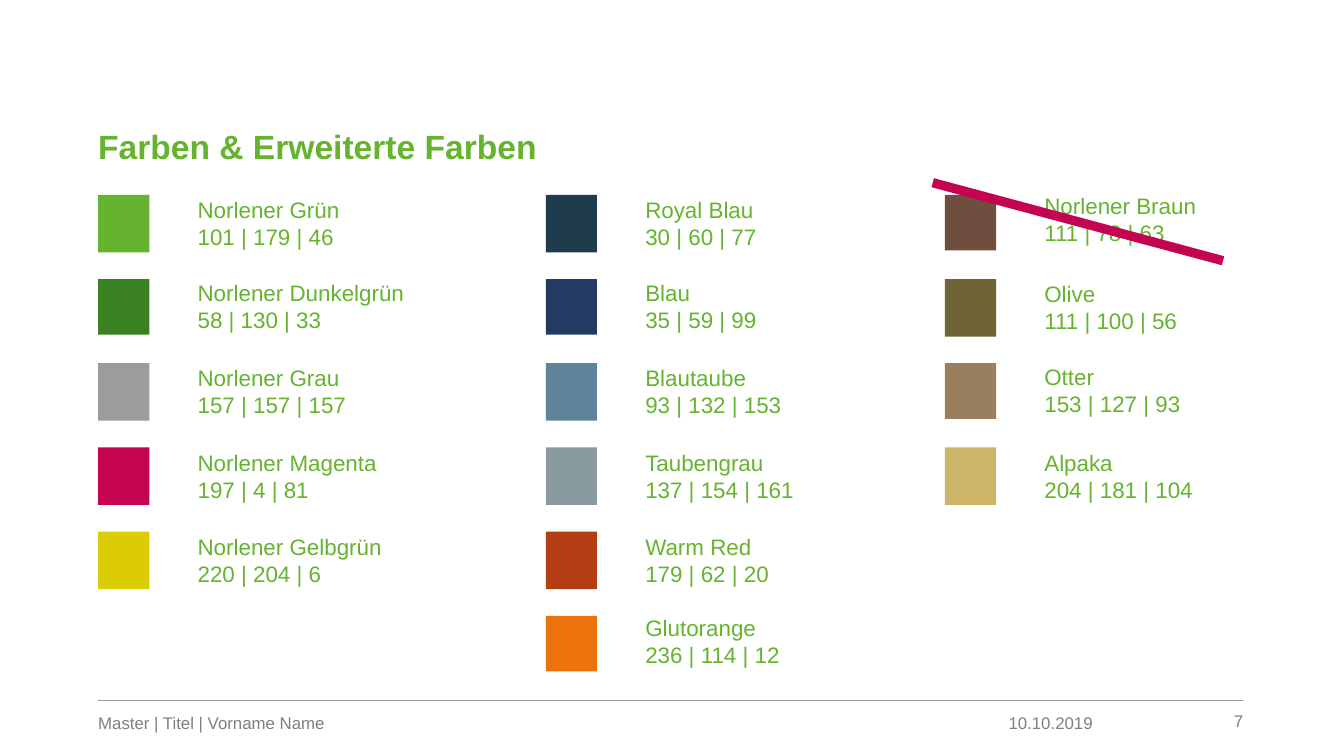
import pptx
import pptx.dml.color
import pptx.enum.shapes
import pptx.enum.text
import pptx.oxml
import pptx.util

Pt = pptx.util.Pt
RGBColor = pptx.dml.color.RGBColor
Align = pptx.enum.text.PP_ALIGN
Anchor = pptx.enum.text.MSO_ANCHOR

GREEN = RGBColor(0x65, 0xB3, 0x2E)
DARK_GREEN = RGBColor(0x3A, 0x82, 0x21)
GREY = RGBColor(0x9C, 0x9C, 0x9C)
MAGENTA = RGBColor(0xC4, 0x04, 0x50)
YELLOW_GREEN = RGBColor(0xDB, 0xCC, 0x05)
ROYAL_BLUE = RGBColor(0x1F, 0x3C, 0x4D)
BLUE = RGBColor(0x23, 0x3B, 0x63)
DOVE_BLUE = RGBColor(0x5D, 0x84, 0x99)
DOVE_GREY = RGBColor(0x89, 0x9A, 0xA1)
WARM_RED = RGBColor(0xB3, 0x3E, 0x14)
ORANGE = RGBColor(0xEC, 0x72, 0x0C)
BROWN = RGBColor(0x6F, 0x4E, 0x3F)
OLIVE = RGBColor(0x6F, 0x64, 0x38)
OTTER = RGBColor(0x99, 0x7F, 0x5D)
ALPACA = RGBColor(0xCC, 0xB5, 0x68)
FOOTER_GREY = RGBColor(0x7F, 0x7F, 0x7F)

LEFT = 52.6
RIGHT = 666
FIRST_ROW = 104.4
ROW_PITCH = 45.1
SWATCH_WIDTH = 27.4
LABEL_INDENT = 53.3
TALL = 30.8
SHORT = 29.8

presentation = pptx.Presentation()
presentation.slide_width = Pt(720)
presentation.slide_height = Pt(405)
slide = presentation.slides.add_slide(presentation.slide_layouts[6])


def add_text(text, left, top, width, height, size=12, color=GREEN, bold=False,
             align=Align.LEFT, anchor=Anchor.TOP, wrap=True, spacing=1.0):
    shape = slide.shapes.add_textbox(Pt(left), Pt(top), Pt(width), Pt(height))
    frame = shape.text_frame
    frame.margin_left = frame.margin_top = frame.margin_right = frame.margin_bottom = 0
    frame.word_wrap = wrap
    frame.vertical_anchor = anchor
    frame.text = text
    for paragraph in frame.paragraphs:
        paragraph.alignment = align
        paragraph.line_spacing = spacing
        paragraph.font.name = "Arial"
        paragraph.font.size = Pt(size)
        paragraph.font.bold = bold
        paragraph.font.color.rgb = color


def add_line(start_x, start_y, end_x, end_y, color, width):
    connector = slide.shapes.add_connector(
        pptx.enum.shapes.MSO_CONNECTOR.STRAIGHT,
        Pt(start_x), Pt(start_y), Pt(end_x), Pt(end_y))
    connector.line.color.rgb = color
    connector.line.width = Pt(width)
    properties = connector._element.spPr
    properties.append(pptx.oxml.parse_xml(
        '<a:effectLst xmlns:a="http://schemas.openxmlformats.org/drawingml/2006/main"/>'))


add_line(RIGHT, 375.1, LEFT, 375.1, GREY, 0.5)
footers = [
    ("10.10.2019", 505.4, 80, 17.3, Align.RIGHT, False),
    ("Master | Titel | Vorname Name", LEFT, 347, 17.3, Align.LEFT, False),
    ("7", 611.3, 54.7, 16.6, Align.RIGHT, True),
]
for text, left, width, height, align, wrap in footers:
    add_text(text, left, 375.1, width, height, size=9, color=FOOTER_GREY,
             align=align, anchor=Anchor.BOTTOM, wrap=wrap)

add_text("Farben & Erweiterte Farben", LEFT, 29.5, RIGHT - LEFT, 59.8,
         size=18, bold=True, anchor=Anchor.BOTTOM, spacing=0.9)

columns = [
    (LEFT, [
        ("Norlener Grün", "101 | 179 | 46", GREEN, TALL, 0.7),
        ("Norlener Dunkelgrün", "58 | 130 | 33", DARK_GREEN, SHORT, 0),
        ("Norlener Grau", "157 | 157 | 157", GREY, TALL, 0.7),
        ("Norlener Magenta", "197 | 4 | 81", MAGENTA, TALL, 0.7),
        ("Norlener Gelbgrün", "220 | 204 | 6", YELLOW_GREEN, TALL, 0.7),
    ]),
    (292.4, [
        ("Royal Blau", "30 | 60 | 77", ROYAL_BLUE, TALL, 0.7),
        ("Blau", "35 | 59 | 99", BLUE, SHORT, 0),
        ("Blautaube", "93 | 132 | 153", DOVE_BLUE, TALL, 0.7),
        ("Taubengrau", "137 | 154 | 161", DOVE_GREY, TALL, 0.7),
        ("Warm Red", "179 | 62 | 20", WARM_RED, TALL, 0.7),
        ("Glutorange", "236 | 114 | 12", ORANGE, SHORT, -0.7),
    ]),
    (506.2, [
        ("Norlener Braun", "111 | 78 | 63", BROWN, SHORT, -1.4),
        ("Olive", "111 | 100 | 56", OLIVE, TALL, 0.7),
        ("Otter", "153 | 127 | 93", OTTER, SHORT, 0),
        ("Alpaka", "204 | 181 | 104", ALPACA, TALL, 0.7),
    ]),
]
for left, swatches in columns:
    for row, (name, channels, color, height, label_offset) in enumerate(swatches):
        top = FIRST_ROW + row * ROW_PITCH
        swatch = slide.shapes.add_shape(
            pptx.enum.shapes.MSO_SHAPE.RECTANGLE,
            Pt(left), Pt(top), Pt(SWATCH_WIDTH), Pt(height))
        swatch.shadow.inherit = False
        swatch.fill.solid()
        swatch.fill.fore_color.rgb = color
        swatch.line.fill.background()
        add_text(f"{name}\n{channels}", left + LABEL_INDENT, top + label_offset,
                 160.5, height)

add_line(499.7, 97.9, 655.2, 139.7, MAGENTA, 5)

presentation.save("out.pptx")
